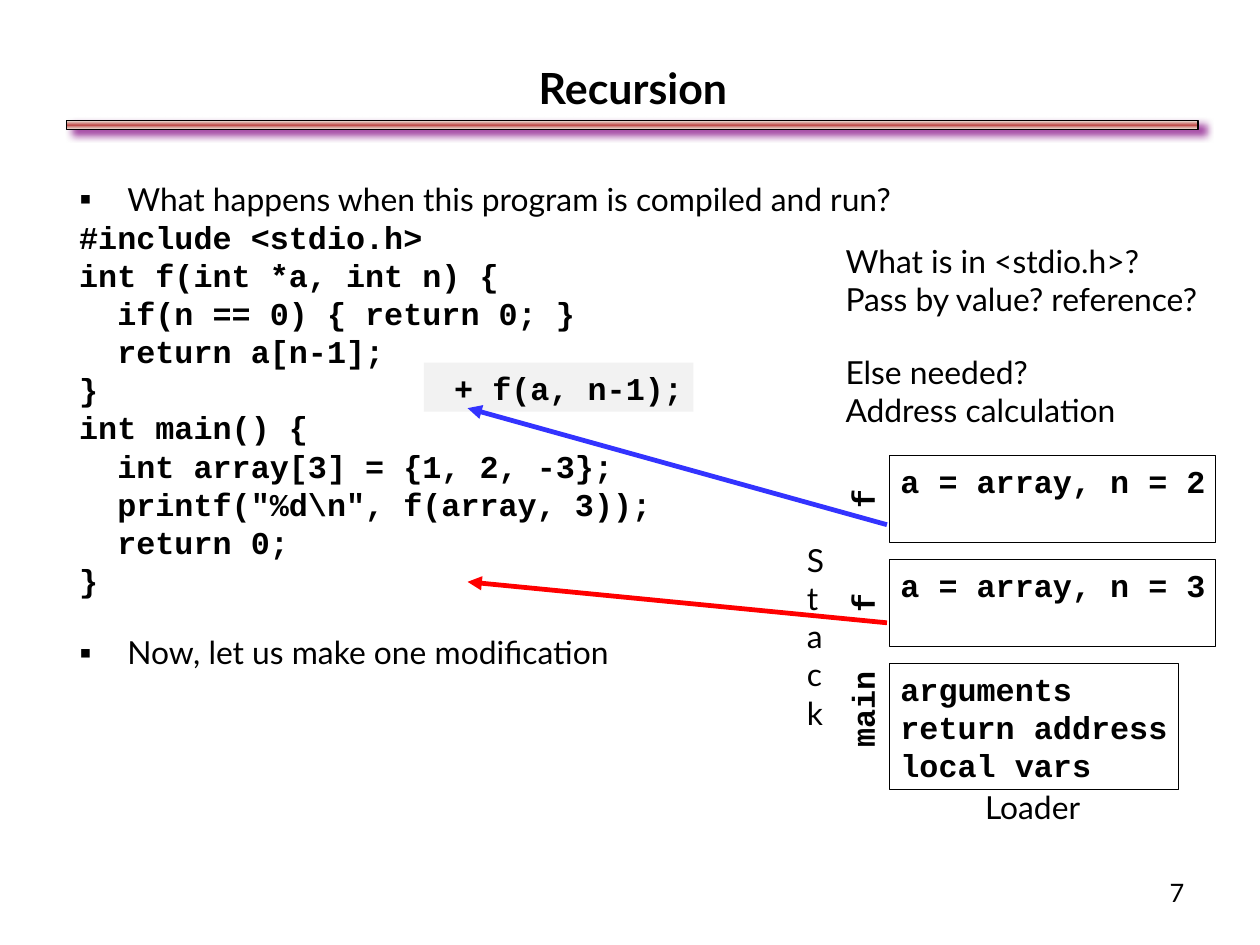
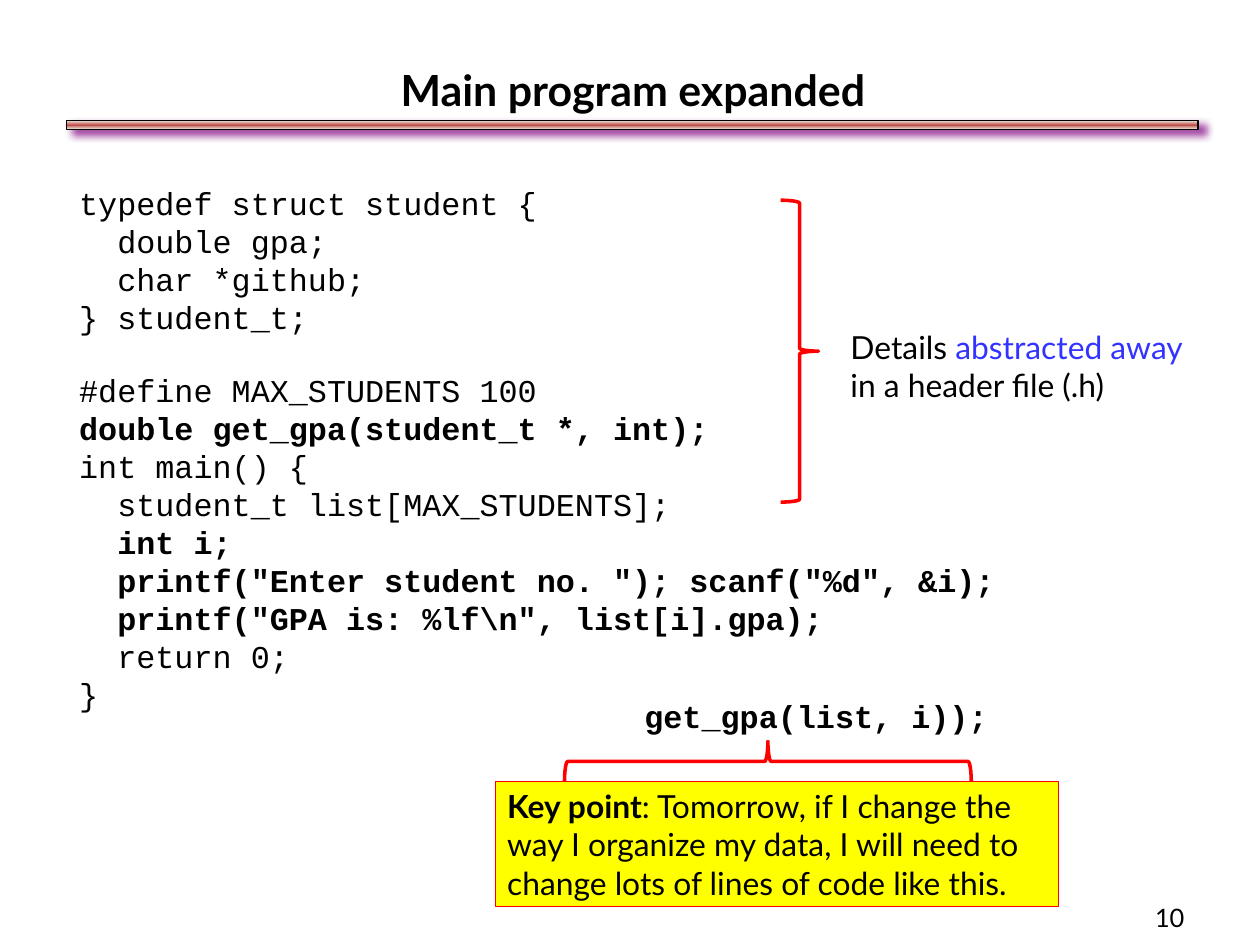
from dataclasses import dataclass

from pptx import Presentation
from pptx.dml.color import RGBColor
from pptx.enum.shapes import MSO_CONNECTOR as CONN, MSO_SHAPE as SHAPE
from pptx.enum.text import MSO_ANCHOR as ANCHOR, PP_ALIGN as ALIGN
from pptx.oxml import parse_xml
from pptx.oxml.ns import nsdecls
from pptx.util import Cm, Pt

LATO, MONO = "Lato", "Courier New"
BLACK, RED, BLUE, WHITE = "000000", "FF0000", "3333FF", "FFFFFF"
GREY, YELLOW = "F2F2F2", "FFFF00"
BAND_EDGE, BAND_CORE, BAND_SHADOW = "EEECE1", "C0504D", "800080"
TIGHT, LOOSE = (0.25, 0.13), (0.28, 0.15)
GAP = 21.6


@dataclass
class Run:
    """A piece of text in one style."""
    text: str
    font: str = LATO
    bold: bool = False
    color: str = BLACK
    size: int = 20


@dataclass
class Para:
    """A paragraph of runs with its spacing, bullet and alignment."""
    runs: list
    gap: float = 0
    bullet: bool = False
    align: ALIGN = ALIGN.LEFT


def rgb(color):
    """Turn a hex string into a colour."""
    return RGBColor.from_string(color)


def xml(tag, inner="", attrs=""):
    """Build one DrawingML element."""
    return parse_xml(f'<a:{tag} {nsdecls("a")} {attrs}>{inner}</a:{tag}>')


def plain(text, gap=0, bullet=False):
    """Make a paragraph of prose."""
    return Para([Run(text)], gap, bullet)


def code(lines, bold=True):
    """Make one paragraph for each line of code."""
    return [Para([Run(line, MONO, bold)]) for line in lines.split("\n")]


def write(sp, paras, inset=TIGHT, wrap=False, anchor=ANCHOR.TOP):
    """Fill a shape with paragraphs."""
    tf = sp.text_frame
    tf.word_wrap = wrap
    tf.vertical_anchor = anchor
    tf.margin_left = tf.margin_right = Cm(inset[0])
    tf.margin_top = tf.margin_bottom = Cm(inset[1])
    for i, para in enumerate(paras):
        p = tf.add_paragraph() if i else tf.paragraphs[0]
        p.alignment = para.align
        p.space_before = Pt(para.gap)
        if para.bullet:
            pPr = p._p.get_or_add_pPr()
            pPr.set("marL", str(Cm(1.07)))
            pPr.set("indent", str(-Cm(1.07)))
            pPr.append(xml("buClr", f'<a:srgbClr val="{BLACK}"/>'))
            pPr.append(xml("buFont", attrs=f'typeface="{LATO}"'))
            pPr.append(xml("buChar", attrs='char="▪"'))
        for run in para.runs:
            r = p.add_run()
            r.text = run.text
            r.font.name, r.font.size, r.font.bold = run.font, Pt(run.size), run.bold
            r.font.color.rgb = rgb(run.color)


def text(s, box, paras, rotation=0, **style):
    """Add a text box."""
    sp = s.shapes.add_textbox(*map(Cm, box))
    sp.rotation = rotation
    write(sp, paras, **style)


def shape(s, kind, box, fill=None, line=None, width=0.75):
    """Add a preset shape without shadow."""
    sp = s.shapes.add_shape(kind, *map(Cm, box))
    sp.shadow.inherit = False
    if fill:
        sp.fill.solid()
        sp.fill.fore_color.rgb = rgb(fill)
    else:
        sp.fill.background()
    if line:
        sp.line.color.rgb = rgb(line)
        sp.line.width = Pt(width)
    else:
        sp.line.fill.background()
    return sp


def panel(s, box, paras, fill=None, line=None):
    """Add a rectangle holding text."""
    write(shape(s, SHAPE.RECTANGLE, box, fill, line), paras)


def brace(s, box, rotation=0):
    """Add a red right brace."""
    sp = shape(s, SHAPE.RIGHT_BRACE, box, line=RED, width=2.25)
    sp.adjustments[0] = 0.08
    sp.rotation = rotation


def arrow(s, start, end, color):
    """Add a thick arrow pointing at its end."""
    c = s.shapes.add_connector(CONN.STRAIGHT, *map(Cm, start + end))
    c.line.color.rgb = rgb(color)
    c.line.width = Pt(3)
    c.line._get_or_add_ln().append(xml("tailEnd", attrs='type="triangle"'))
    c._element.spPr.append(xml("effectLst"))


def band(s):
    """Add the shaded rule under the title."""
    sp = shape(s, SHAPE.RECTANGLE, (1.48, 2.68, 25.15, 0.2), line=BLACK, width=1)
    stops = "".join(
        f'<a:gs pos="{pos}"><a:srgbClr val="{color}"/></a:gs>'
        for pos, color in ((0, BAND_EDGE), (50000, BAND_CORE), (100000, BAND_EDGE)))
    spPr = sp._element.spPr
    no_fill = spPr.find("{*}noFill")
    spPr.replace(no_fill, xml("gradFill", f'<a:gsLst>{stops}</a:gsLst><a:lin ang="5400000"/>'))
    spPr.find("{*}effectLst").append(xml(
        "outerShdw",
        f'<a:srgbClr val="{BAND_SHADOW}"><a:alpha val="75000"/></a:srgbClr>',
        f'blurRad="{Pt(5)}" dist="{Pt(5)}" dir="{37 * 60000}"'))


def new_slide(prs, title, title_top, number, number_top):
    """Add a blank slide with band, title and page number."""
    s = prs.slides.add_slide(prs.slide_layouts[6])
    band(s)
    text(s, (20.78, number_top, 5.82, 1.4),
         [Para([Run(number, size=16)], align=ALIGN.RIGHT)], inset=LOOSE, wrap=True)
    text(s, (1.48, title_top, 25.17, 1.4),
         [Para([Run(title, bold=True, size=27)], align=ALIGN.CENTER)],
         inset=LOOSE, wrap=True, anchor=ANCHOR.MIDDLE)
    return s


def stack(s):
    """Draw the call frames with their function names."""
    frames = [("f", 0.91, 7.26, 1.93, "a = array, n = 2"),
              ("f", 0.91, 7.26, 1.93, "a = array, n = 3"),
              ("main", 2.3, 6.43, 2.79, "arguments\nreturn address\nlocal vars")]
    for i, (name, length, width, height, lines) in enumerate(frames):
        top = 10.13 + 2.31 * i
        panel(s, (19.76, top, width, height), code(lines), line=BLACK)
        text(s, (19.15 - length / 2, top + 0.41, length, 1.09), code(name), rotation=270)
    text(s, (21.64, 17.37, 2.67, 1.09), [plain("Loader")])
    text(s, (17.68, 11.89, 0.86, 4.47), [plain(letter) for letter in "Stack"])


def recursion(prs):
    """Build the recursion slide."""
    s = new_slide(prs, "Recursion", 1.24, "7", 19.35)
    program = r'''#include <stdio.h>
int f(int *a, int n) {
  if(n == 0) { return 0; }
  return a[n-1];
}
int main() {
  int array[3] = {1, 2, -3};
  printf("%d\n", f(array, 3));
  return 0;
}'''
    text(s, (1.48, 3.84, 25.12, 15.29),
         [plain("What happens when this program is compiled and run?", bullet=True),
          *code(program),
          plain("Now, let us make one modification", GAP, True)],
         inset=LOOSE, wrap=True)
    panel(s, (9.42, 8.06, 5.99, 1.09), code(" + f(a, n-1);"), fill=GREY)
    stack(s)
    arrow(s, (19.71, 13.84), (10.39, 12.93), RED)
    arrow(s, (19.71, 11.66), (10.39, 9.07), BLUE)
    text(s, (18.54, 5.25, 8.48, 4.47),
         [plain("What is in <stdio.h>?"), plain("Pass by value? reference?"),
          plain("Else needed?", GAP), plain("Address calculation")])


def main_program(prs):
    """Build the expanded main program slide."""
    s = new_slide(prs, "Main program expanded", 1.29, "10", 19.89)
    struct = code("typedef struct student {\n  double gpa;\n  char *github;\n} student_t;", False)
    define = code("#define MAX_STUDENTS 100", False)
    define[0].gap = GAP
    lookup = r'''  int i;
  printf("Enter student no. "); scanf("%d", &i);
  printf("GPA is: %lf\n", list[i].gpa);'''
    text(s, (1.48, 3.93, 25.07, 15.75),
         [*struct, *define,
          *code("double get_gpa(student_t *, int);"),
          *code("int main() {\n  student_t list[MAX_STUDENTS];", False),
          *code(lookup),
          *code("  return 0;\n}", False)],
         inset=LOOSE, wrap=True)
    panel(s, (11.02, 17.36, 12.5, 2.79),
          [Para([Run("Key point", bold=True), Run(": Tomorrow, if I change the")]),
           plain("way I organize my data, I will need to"),
           plain("change lots of lines of code like this.")],
          fill=YELLOW, line=RED)
    brace(s, (16.61, 12.4, 0.91, 9.04), rotation=270)
    panel(s, (14.07, 15.36, 8.13, 1.09), code("get_gpa(list, i));"), fill=WHITE)
    brace(s, (17.35, 4.45, 0.84, 6.71))
    text(s, (18.65, 7.15, 8.1, 1.96),
         [Para([Run("Details "), Run("abstracted away", color=BLUE)]),
          plain("in a header file (.h)")])


def main():
    """Build and save the presentation."""
    prs = Presentation()
    prs.slide_width, prs.slide_height = Cm(28), Cm(21)
    recursion(prs)
    main_program(prs)
    prs.save("out.pptx")


if __name__ == "__main__":
    main()
